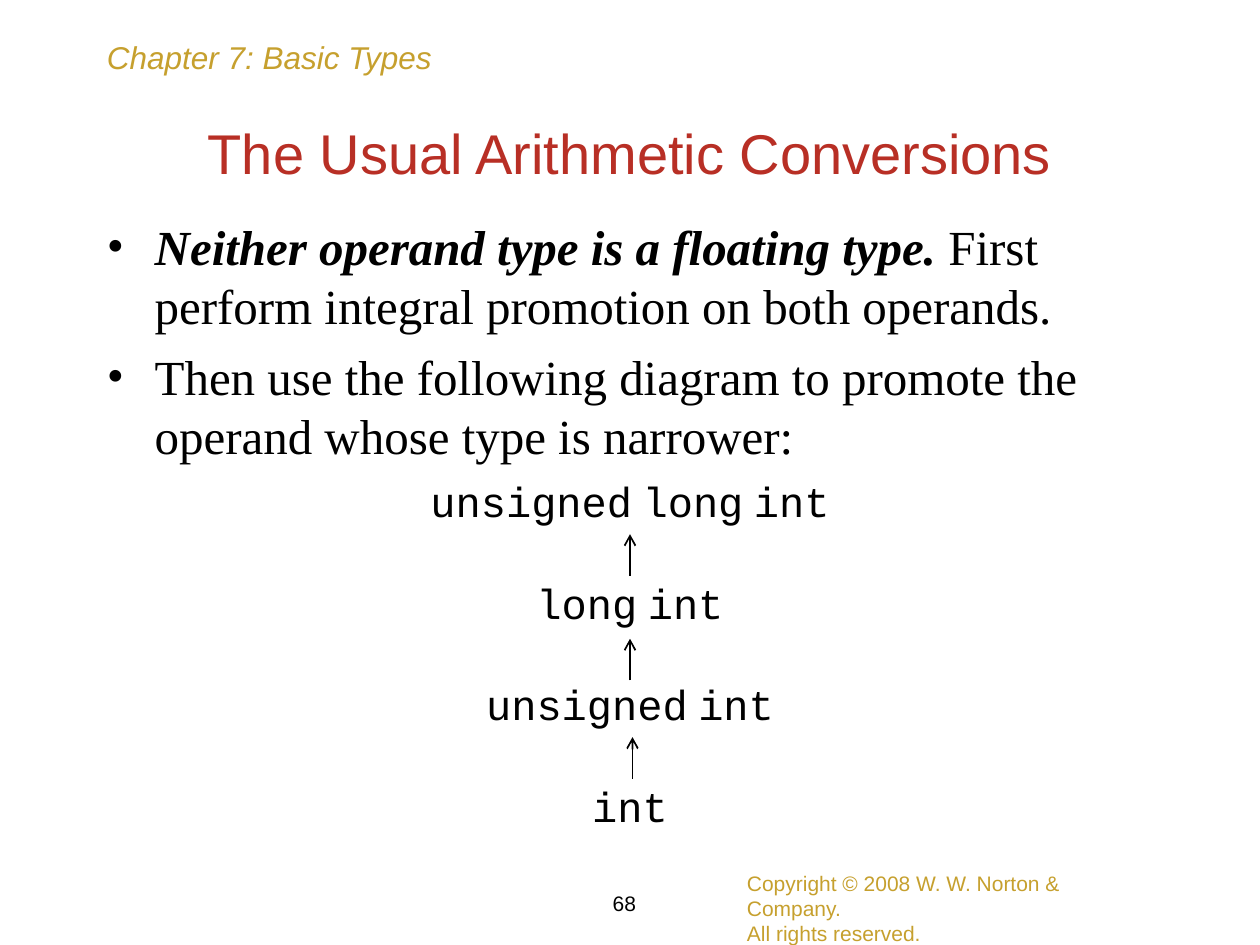
from lxml import etree
from pptx import Presentation
from pptx import util as u
from pptx.dml.color import RGBColor
from pptx.enum import shapes, text
from pptx.oxml.ns import qn

GOLD = RGBColor(0xC6, 0xA0, 0x2E)
RED = RGBColor(0xB8, 0x2F, 0x25)
BLACK = RGBColor(0, 0, 0)
SANS, SERIF, MONO = "Arial", "Times New Roman", "Courier New"
MID = text.MSO_ANCHOR.MIDDLE
CENTER = text.PP_ALIGN.CENTER


class Deck:
    def __init__(self):
        self.prs = Presentation()
        self.prs.slide_width = u.Inches(10)
        self.prs.slide_height = u.Inches(7.5)
        self.slide = self.prs.slides.add_slide(self.prs.slide_layouts[6])

    def box(self, x, y, w, h, anchor=text.MSO_ANCHOR.TOP, wrap=True):
        area = [u.Inches(n) for n in (x, y, w, h)]
        frame = self.slide.shapes.add_textbox(*area).text_frame
        frame.word_wrap = wrap
        frame.vertical_anchor = anchor
        return frame

    def para(self, frame, align=None, before=0, lines=None):
        first = frame.paragraphs[0]
        para = frame.add_paragraph() if first.runs else first
        para.alignment = align
        para.space_before = u.Pt(before)
        if lines:
            para.line_spacing = lines
        return para

    def run(self, para, words, face, size, color=BLACK, bold=False, italic=False):
        run = para.add_run()
        run.text = words
        font = run.font
        font.name, font.size = face, u.Pt(size)
        font.bold, font.italic = bold, italic
        font.color.rgb = color

    def bullet(self, frame, parts, before=0):
        para = self.para(frame, before=before)
        props = para._p.get_or_add_pPr()
        props.set("marL", str(u.Inches(0.38)))
        props.set("indent", str(-u.Inches(0.38)))
        etree.SubElement(props, qn("a:buFont")).set("typeface", SERIF)
        etree.SubElement(props, qn("a:buChar")).set("char", "•")
        for words, strong in parts:
            self.run(para, words, SERIF, 28, bold=strong, italic=strong)

    def code(self, frame, words, before):
        para = self.para(frame, CENTER, before, 0.8)
        for i, word in enumerate(words.split()):
            if i:
                self.run(para, " ", SERIF, 24)
            self.run(para, word, MONO, 24)

    def arrow(self, x, low, top):
        ends = [u.Inches(n) for n in (x, low, x, top)]
        line = self.slide.shapes.add_connector(shapes.MSO_CONNECTOR.STRAIGHT, *ends)
        line.line.color.rgb = BLACK
        line.line.width = u.Pt(1)
        tail = etree.SubElement(line.line._get_or_add_ln(), qn("a:tailEnd"))
        tail.set("type", "arrow")
        etree.SubElement(line._element.spPr, qn("a:effectLst"))


def main():
    deck = Deck()
    head = deck.para(deck.box(0.75, 0.25, 3.58, 0.4))
    deck.run(head, "Chapter 7: Basic Types", SANS, 18, GOLD, italic=True)

    title = deck.para(deck.box(0.75, 0.83, 8.5, 0.75, MID), CENTER)
    deck.run(title, "The Usual Arithmetic Conversions", SANS, 32, RED)

    body = deck.box(0.75, 1.67, 8.5, 5.25)
    deck.bullet(body, [
        ("Neither operand type is a floating type.", True),
        (" First perform integral promotion on both operands.", False),
    ])
    deck.bullet(body, [
        ("Then use the following diagram to promote the operand "
         "whose type is narrower:", False),
    ], 7)
    types = ["unsigned long int", "long int", "unsigned int", "int"]
    for i, name in enumerate(types):
        deck.code(body, name, 35 if i else 12)

    for x, low in [(5, 4.57), (5, 5.4), (5.02, 6.18)]:
        deck.arrow(x, low, low - 0.33)

    foot = deck.box(5.83, 6.96, 3.42, 0.5, MID, False)
    for words in ["Copyright © 2008 W. W. Norton & Company.", "All rights reserved."]:
        deck.run(deck.para(foot), words, SANS, 12, GOLD)

    page = deck.para(deck.box(4.58, 7, 0.75, 0.33, MID, False), CENTER)
    deck.run(page, "68", SANS, 12)

    deck.prs.save("out.pptx")


if __name__ == "__main__":
    main()
